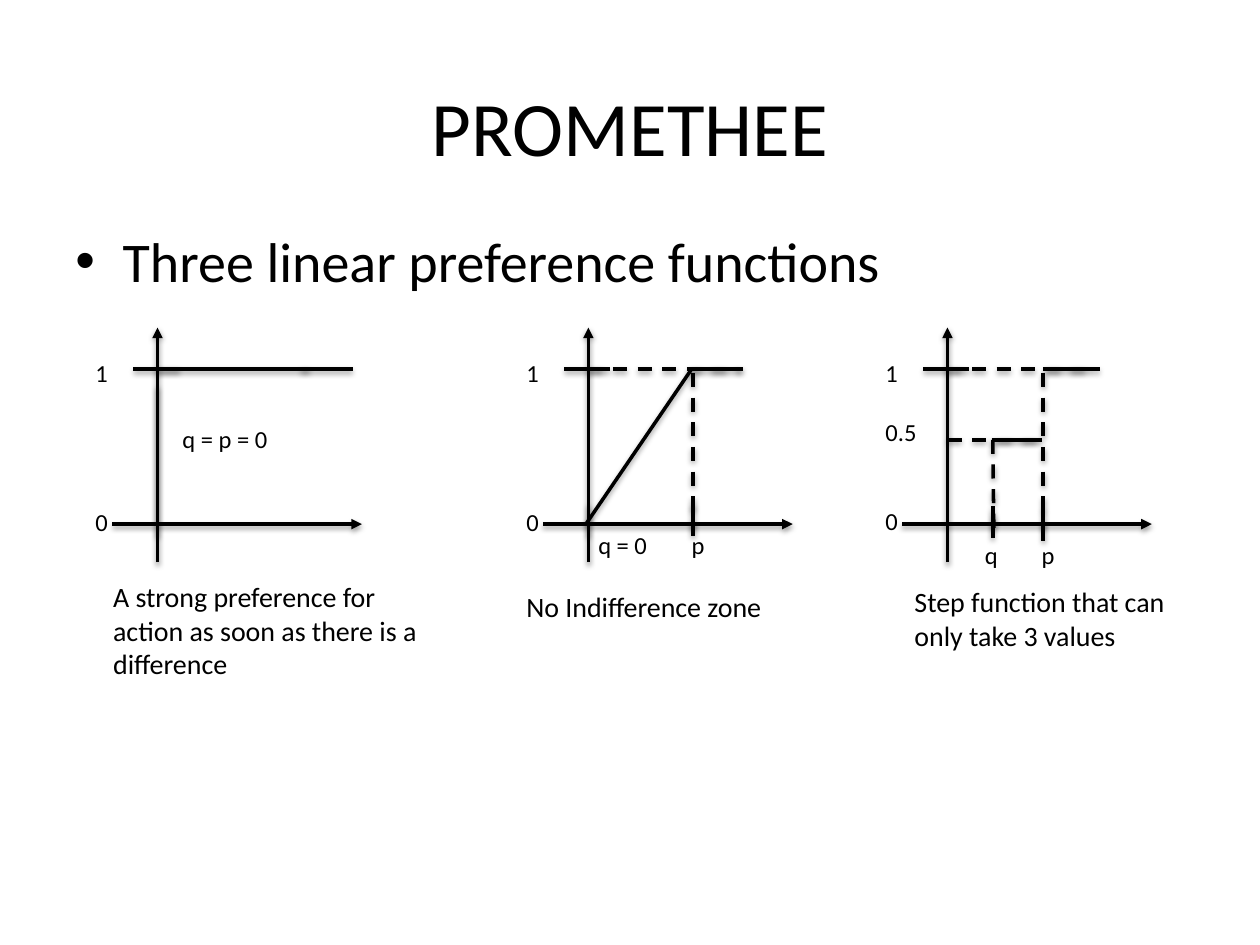
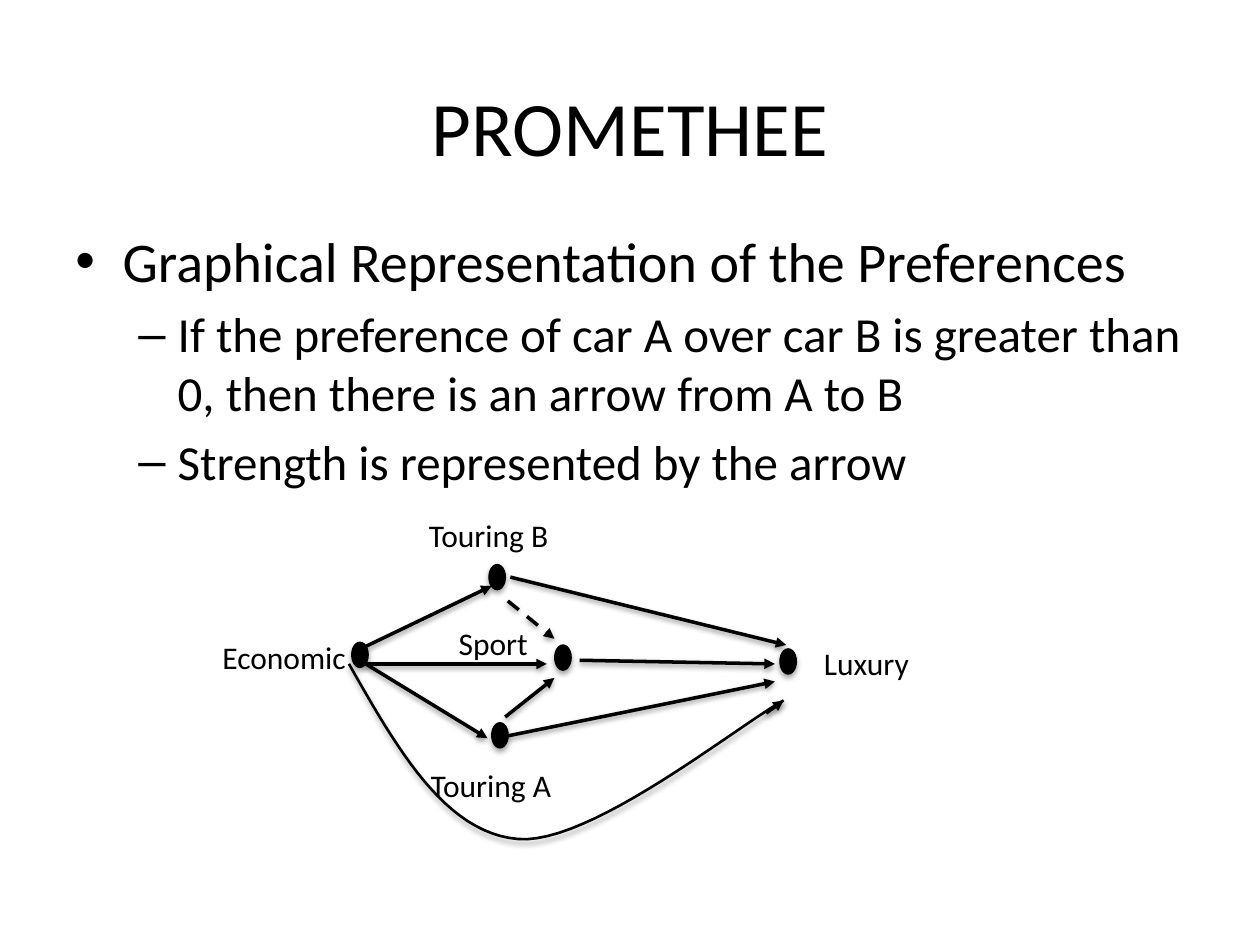
from lxml import etree
from pptx import Presentation
from pptx.dml.color import RGBColor
from pptx.enum.dml import MSO_LINE
from pptx.enum.shapes import MSO_CONNECTOR, MSO_SHAPE
from pptx.enum.text import MSO_ANCHOR, PP_ALIGN
from pptx.oxml.ns import qn
from pptx.util import Pt

BLACK = RGBColor(0x00, 0x00, 0x00)
FONT = "Calibri"
STRAIGHT = MSO_CONNECTOR.STRAIGHT
OVAL = MSO_SHAPE.OVAL
DASH = MSO_LINE.DASH
MIDDLE = MSO_ANCHOR.MIDDLE
CENTER = PP_ALIGN.CENTER

TITLE = "PROMETHEE"
BODY_BOX = (36, 126, 648, 356.4)
LEVELS = [
    {"size": 32, "bullet": "•", "left": 27, "hang": 27},
    {"size": 28, "bullet": "–", "left": 58.5, "hang": 22.5},
]
LINE_STEP = 17.1
ONE, HALF, ZERO = 23.8, 64.1, 112.3
PLOT_TOP = 187.2
GRAPH_AT = (120, 290)
DOT = (9.4, 14.4)

PLOTS = [
    {
        "axis": 90, "marks": [("1", 0), ("0", 4)], "room": 19.4,
        "solid": [(0, 118.8, 0, 33.1), (82, ONE, 111.6, ONE), (0, ONE, 87, ONE)],
        "dashed": [],
        "note": ("q = p = 0", (7.2, 51.8, 117.4, 24.5), None),
        "caption": ("A strong preference for action as soon as there is a difference",
                    (-32.4, 140.4, 192.2, 65.5)),
    },
    {
        "axis": 336.2, "marks": [("1", 0), ("0", 4)], "room": 19.4,
        "solid": [(0, 100.8, 0, 118.8), (59.8, 100.8, 59.8, 118.8),
                  (-1.4, ZERO, 59, ONE), (59, ONE, 88.6, ONE)],
        "dashed": [(0, ONE, 87, ONE), (59.8, 25.9, 59.8, 114.5)],
        "note": ("q = 0\tp", (-1.4, ZERO, 117.4, 24.5), 53.3),
        "caption": ("No Indifference zone", (-42.5, 146.2, 192.2, 26.6)),
    },
    {
        "axis": 541.4, "marks": [("1", 0), ("0.5", 1), ("0", 2)], "room": 33.1,
        "solid": [(25.9, 102.2, 25.9, 120.2), (54.7, 103.7, 54.7, 121.7),
                  (25.2, HALF, 54, HALF), (54.7, ONE, 84.2, ONE)],
        "dashed": [(0, ONE, 87, ONE), (54.7, 25.9, 54.7, 114.5),
                   (0, HALF, 54, HALF), (25.9, HALF, 26.6, 120.2)],
        "note": ("q\tp", (14.4, 118, 59.8, 24.5), 32.4),
        "caption": ("Step function that can only take 3 values",
                    (-25.9, 143.3, 168.5, 46)),
    },
]

NODES = [
    ("Economic", (0, 71, 85.7, 28.8), (81, 77)),
    ("Touring A", (119, 144, 83.5, 28.8), (161, 123)),
    ("Touring B", (118, 1.6, 84.2, 28.8), (159.4, 32.6)),
    ("Sport", (135, 63, 54.7, 28.8), (197, 78.6)),
    ("Luxury", (343.7, 74.3, 63.4, 28.8), (325.7, 80.8)),
]
ARROWS = [
    (89, 79.4, 161, 44.8),
    (89, 89.4, 192.5, 89.4),
    (89, 89.4, 158.6, 131.9),
    (211.2, 87.3, 322.8, 89.4),
    (171.6, 39.8, 329.3, 78.6),
    (170.2, 130.5, 322.8, 99.5),
    (168.7, 119.7, 196.8, 97.4),
    (317.8, 117.5, 327.8, 110.3),
]
WEAK = (170.2, 53.4, 196.8, 75)
CURVES = [
    ((79.4, 89.4), (106.8, 137.7), (134.2, 185.9), (175.9, 189.5)),
    ((175.9, 189.5), (217, 193.1), (300.5, 125.4), (327.8, 110.3)),
]


def put(thing, **vals):
    for name, val in vals.items():
        setattr(thing, name, val)


def style(para, size):
    put(para.font, name=FONT, size=Pt(size))
    para.font.color.rgb = BLACK


def child(node, tag, **vals):
    return etree.SubElement(node, qn(tag), {k: str(v) for k, v in vals.items()})


def shade(shape, alpha, dist):
    effects = child(shape.element.spPr, "a:effectLst")
    outer = child(effects, "a:outerShdw", blurRad=Pt(3.1), dist=Pt(dist),
                  dir=5400000, rotWithShape=0)
    child(child(outer, "a:srgbClr", val=BLACK), "a:alpha", val=alpha * 1000)


def stroke(slide, origin, ends, head=False, dash=None):
    x, y = origin
    x1, y1, x2, y2 = ends
    line = slide.shapes.add_connector(
        STRAIGHT, Pt(x + x1), Pt(y + y1), Pt(x + x2), Pt(y + y2))
    put(line.line, width=Pt(2), dash_style=dash)
    line.line.color.rgb = BLACK
    if head:
        child(line.element.spPr.find(qn("a:ln")), "a:tailEnd", type="triangle")
    shade(line, 38, 1.6)


def frame(slide, origin, box, wrap=True):
    x, y = origin
    left, top, wide, high = box
    text = slide.shapes.add_textbox(Pt(x + left), Pt(y + top), Pt(wide), Pt(high))
    text.text_frame.word_wrap = wrap
    return text.text_frame


def label(slide, origin, box, words, size, wrap=True, tab=None):
    para = frame(slide, origin, box, wrap).paragraphs[0]
    if tab:
        stops = child(para._p.get_or_add_pPr(), "a:tabLst")
        child(stops, "a:tab", pos=Pt(tab), algn="l")
    para.text = words
    style(para, size)


def fill_rows(text, count):
    return [text.paragraphs[0]] + [text.add_paragraph() for _ in range(count - 1)]


def head_slide(deck, rows):
    slide = deck.slides.add_slide(deck.slide_layouts[5])
    title = slide.shapes.title
    put(title, left=Pt(36), top=Pt(27), width=Pt(648), height=Pt(90))
    put(title.text_frame, text=TITLE, vertical_anchor=MIDDLE, word_wrap=True)
    para = title.text_frame.paragraphs[0]
    para.alignment = CENTER
    style(para, 44)

    text = frame(slide, (0, 0), BODY_BOX)
    paras = fill_rows(text, len(rows))
    for spot, (para, (depth, words)) in enumerate(zip(paras, rows)):
        form = LEVELS[depth]
        props = para._p.get_or_add_pPr()
        put_xml = {"marL": Pt(form["left"]), "indent": -Pt(form["hang"])}
        for name, val in put_xml.items():
            props.set(name, str(val))
        child(props, "a:buFont", typeface="Arial")
        child(props, "a:buChar", char=form["bullet"])
        put(para, text=words, level=depth)
        if spot:
            para.space_before = Pt(form["size"] * 0.2)
        style(para, form["size"])
    return slide


def draw_plot(slide, plot):
    origin = (plot["axis"], PLOT_TOP)
    for axis in ((0, 134, 0, 0), (-25.9, ZERO, 116.8, ZERO)):
        stroke(slide, origin, axis, head=True)
    for ends in [(-13.7, ONE, 12.2, ONE)] + plot["solid"]:
        stroke(slide, origin, ends)
    for ends in plot["dashed"]:
        stroke(slide, origin, ends, dash=DASH)

    text = frame(slide, origin, (-42.5, 13.7, plot["room"], 108.7))
    paras = fill_rows(text, len(plot["marks"]))
    for para, (mark, gap) in zip(paras, plot["marks"]):
        para.text = mark
        if gap:
            para.space_before = Pt(gap * LINE_STEP)
        style(para, 14)
    words, box, tab = plot["note"]
    label(slide, origin, box, words, 14, tab=tab)
    words, box = plot["caption"]
    label(slide, origin, box, words, 16)


def bend(curve, t):
    parts = ((1 - t) ** 3, 3 * t * (1 - t) ** 2, 3 * t * t * (1 - t), t ** 3)
    return [sum(p * point[i] for p, point in zip(parts, curve)) for i in (0, 1)]


def draw_arc(slide, origin):
    x, y = origin
    steps = 24
    points = [bend(c, n / steps) for c in CURVES for n in range(steps + 1)]
    spots = [(Pt(x + px), Pt(y + py)) for px, py in points]
    pen = slide.shapes.build_freeform(*spots[0], scale=1.0)
    pen.add_line_segments(spots[1:], close=False)
    arc = pen.convert_to_shape()
    arc.fill.background()
    arc.line.color.rgb = BLACK
    arc.line.width = Pt(1.5)
    shade(arc, 35, 1.8)


def draw_graph(slide, origin):
    x, y = origin
    for name, box, (left, top) in NODES:
        label(slide, origin, box, name, 18, wrap=False)
        dot = slide.shapes.add_shape(
            OVAL, Pt(x + left), Pt(y + top), Pt(DOT[0]), Pt(DOT[1]))
        dot.fill.solid()
        dot.fill.fore_color.rgb = BLACK
        dot.line.color.rgb = BLACK
        dot.line.width = Pt(0.75)
        shade(dot, 35, 1.8)
    for ends in ARROWS:
        stroke(slide, origin, ends, head=True)
    stroke(slide, origin, WEAK, head=True, dash=DASH)
    draw_arc(slide, origin)


def main():
    deck = Presentation()
    put(deck, slide_width=Pt(720), slide_height=Pt(540))
    slide = head_slide(deck, [(0, "Three linear preference functions")])
    for plot in PLOTS:
        draw_plot(slide, plot)
    slide = head_slide(deck, [
        (0, "Graphical Representation of the Preferences"),
        (1, "If the preference of car A over car B is greater than 0, "
            "then there is an arrow from A to B"),
        (1, "Strength is represented by the arrow"),
    ])
    draw_graph(slide, GRAPH_AT)
    deck.save("out.pptx")


if __name__ == "__main__":
    main()
